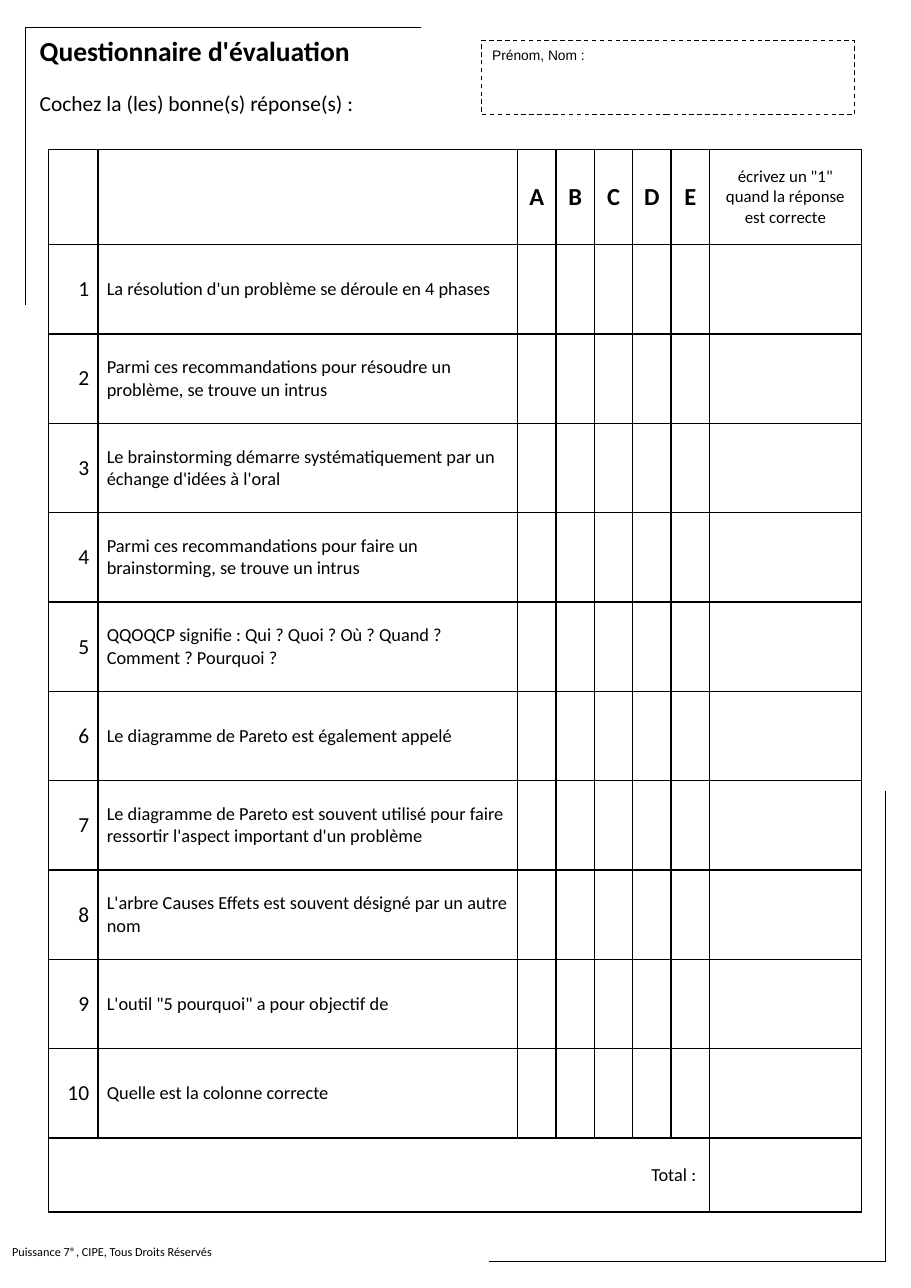
from dataclasses import dataclass

from lxml import etree
from pptx import Presentation, util as u
from pptx.dml.color import RGBColor
from pptx.enum import dml, shapes, text as t
from pptx.oxml import ns

BLACK = RGBColor(0, 0, 0)
WHITE = RGBColor(255, 255, 255)
WIDE, HIGH = u.Inches(8.27), u.Inches(11.69)


@dataclass(frozen=True)
class Box:
    """Place and size, in percent of the slide."""
    x: float
    y: float
    w: float
    h: float

    def emu(self) -> tuple[int, int, int, int]:
        return across(self.x), down(self.y), across(self.w), down(self.h)


@dataclass(frozen=True)
class Rule:
    """Ends of a frame line, in percent of the slide."""
    x1: float
    y1: float
    x2: float
    y2: float


RULES = [
    Rule(97.22, 97.95, 97.22, 61.42),
    Rule(53.69, 97.95, 97.22, 97.95),
    Rule(2.78, 2.14, 46.19, 2.14),
    Rule(2.78, 2.14, 2.78, 23.7),
]
TITLE = Box(2.9, 2.31, 83.3, 7.7)
NAME = Box(52.84, 3.17, 40.99, 5.73)
GRID = Box(5.32, 11.63, 89.25, 82.49)
FOOT = Box(1.33, 96.49, 48.6, 1.37)

CHOICES = "ABCDE"
HINTS = ['écrivez un "1"', "quand la réponse", "est correcte"]
ASKS = [
    "La résolution d'un problème se déroule en 4 phases",
    "Parmi ces recommandations pour résoudre un problème, se trouve un intrus",
    "Le brainstorming démarre systématiquement par un échange d'idées à l'oral",
    "Parmi ces recommandations pour faire un brainstorming, se trouve un intrus",
    "QQOQCP signifie : Qui ? Quoi ? Où ? Quand ? Comment ? Pourquoi ?",
    "Le diagramme de Pareto est également appelé",
    "Le diagramme de Pareto est souvent utilisé pour faire ressortir "
    "l'aspect important d'un problème",
    "L'arbre Causes Effets est souvent désigné par un autre nom",
    "L'outil \"5 pourquoi\" a pour objectif de",
    "Quelle est la colonne correcte",
]
COLS = [5.44, 46.07] + [4.21] * len(CHOICES) + [16.69]
ROWS = [7.36] + [6.94] * len(ASKS) + [5.73]


def across(share: float) -> int:
    return round(WIDE * share / 100)


def down(share: float) -> int:
    return round(HIGH * share / 100)


def write(frame, words: str, size: float = 12, bold: bool = False,
          font: str = "Calibri", align=t.PP_ALIGN.LEFT, gap: float = 0) -> None:
    """Fill the first paragraph, or add one when it is taken."""
    para = frame.add_paragraph() if frame.text else frame.paragraphs[0]
    para.alignment = align
    if gap:
        para.space_before = u.Pt(gap)
    run = para.add_run()
    run.text = words
    run.font.size, run.font.bold, run.font.name = u.Pt(size), bold, font
    run.font.color.rgb = BLACK


def inset(frame, left: float, top: float, right: float, base: float) -> None:
    frame.word_wrap = True
    frame.auto_size = t.MSO_AUTO_SIZE.NONE
    frame.vertical_anchor = t.MSO_ANCHOR.TOP
    frame.margin_left, frame.margin_right = u.Inches(left), u.Inches(right)
    frame.margin_top, frame.margin_bottom = u.Inches(top), u.Inches(base)


def draw_rule(slide, rule: Rule) -> None:
    line = slide.shapes.add_connector(
        shapes.MSO_CONNECTOR.STRAIGHT, across(rule.x1), down(rule.y1),
        across(rule.x2), down(rule.y2))
    line.line.color.rgb = BLACK
    line.line.width = u.Pt(0.75)
    etree.SubElement(line._element.spPr, ns.qn("a:effectLst"))


def dress(cell) -> None:
    """Black border on all sides, white fill, centred in height."""
    props = cell._tc.get_or_add_tcPr()
    for side in ("lnL", "lnR", "lnT", "lnB"):
        edge = etree.SubElement(props, ns.qn(f"a:{side}"), w=str(u.Pt(1)))
        fill = etree.SubElement(edge, ns.qn("a:solidFill"))
        etree.SubElement(fill, ns.qn("a:srgbClr"), val=str(BLACK))
    cell.fill.solid()
    cell.fill.fore_color.rgb = WHITE
    cell.vertical_anchor = t.MSO_ANCHOR.MIDDLE
    cell.margin_left = cell.margin_right = u.Inches(0.08)
    cell.margin_top = cell.margin_bottom = u.Inches(0.04)


def draw_grid(slide) -> None:
    grid = slide.shapes.add_table(len(ROWS), len(COLS), *GRID.emu()).table
    grid.first_row = grid.horz_banding = False
    for col, share in zip(grid.columns, COLS):
        col.width = across(share)
    for row, share in zip(grid.rows, ROWS):
        row.height = down(share)
    for cell in grid.iter_cells():
        dress(cell)

    # Heading row
    mid, right = t.PP_ALIGN.CENTER, t.PP_ALIGN.RIGHT
    last = len(COLS) - 1
    for col, mark in enumerate(CHOICES, 2):
        write(grid.cell(0, col).text_frame, mark, size=16, bold=True, align=mid)
    for hint in HINTS:
        write(grid.cell(0, last).text_frame, hint, size=11, align=mid)

    # Questions
    for row, ask in enumerate(ASKS, 1):
        write(grid.cell(row, 0).text_frame, str(row), size=14, align=right)
        write(grid.cell(row, 1).text_frame, ask)

    # Total row
    end = len(ROWS) - 1
    total = grid.cell(end, 0)
    total.merge(grid.cell(end, last - 1))
    total.margin_right = u.Inches(0.12)
    write(total.text_frame, "Total :", align=right)


def main() -> None:
    deck = Presentation()
    deck.slide_width, deck.slide_height = WIDE, HIGH
    slide = deck.slides.add_slide(deck.slide_layouts[5])

    # Title and instruction
    title = slide.shapes.title
    title.left, title.top, title.width, title.height = TITLE.emu()
    inset(title.text_frame, 0.12, 0.04, 0.12, 0.12)
    write(title.text_frame, "Questionnaire d'évaluation", size=18, bold=True)
    write(title.text_frame, "Cochez la (les) bonne(s) réponse(s) :",
          size=14, gap=14.6)

    # Corner lines and footer
    for rule in RULES:
        draw_rule(slide, rule)
    foot = slide.shapes.add_textbox(*FOOT.emu()).text_frame
    inset(foot, 0, 0.01, 0, 0.01)
    write(foot, "Puissance 7®, CIPE, Tous Droits Réservés", size=8)

    # Answer table
    draw_grid(slide)

    # Name box
    name = slide.shapes.add_shape(shapes.MSO_SHAPE.RECTANGLE, *NAME.emu())
    name.shadow.inherit = False
    name.fill.solid()
    name.fill.fore_color.rgb = WHITE
    name.line.color.rgb = BLACK
    name.line.width = u.Pt(0.75)
    name.line.dash_style = dml.MSO_LINE.DASH
    inset(name.text_frame, 0.1, 0.05, 0.1, 0.05)
    write(name.text_frame, "Prénom, Nom :", size=9, font="Arial")

    deck.save("out.pptx")


if __name__ == "__main__":
    main()
